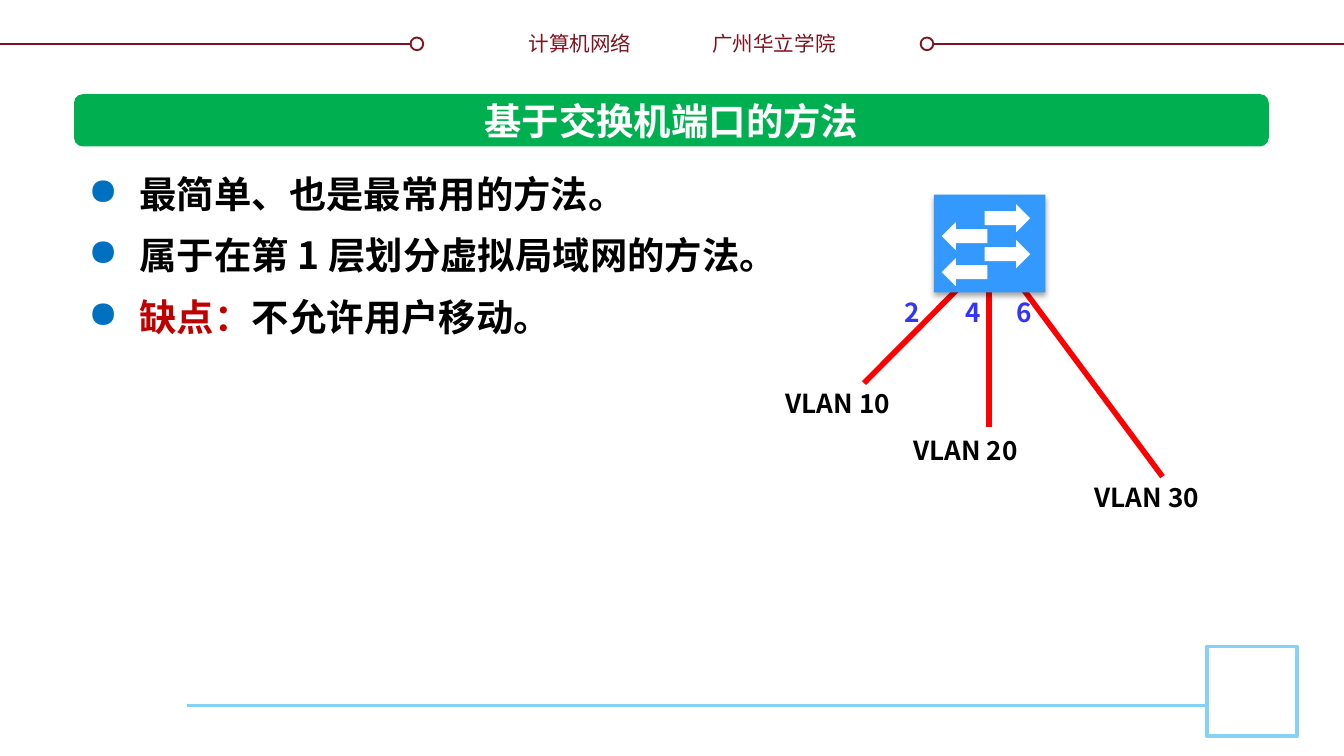
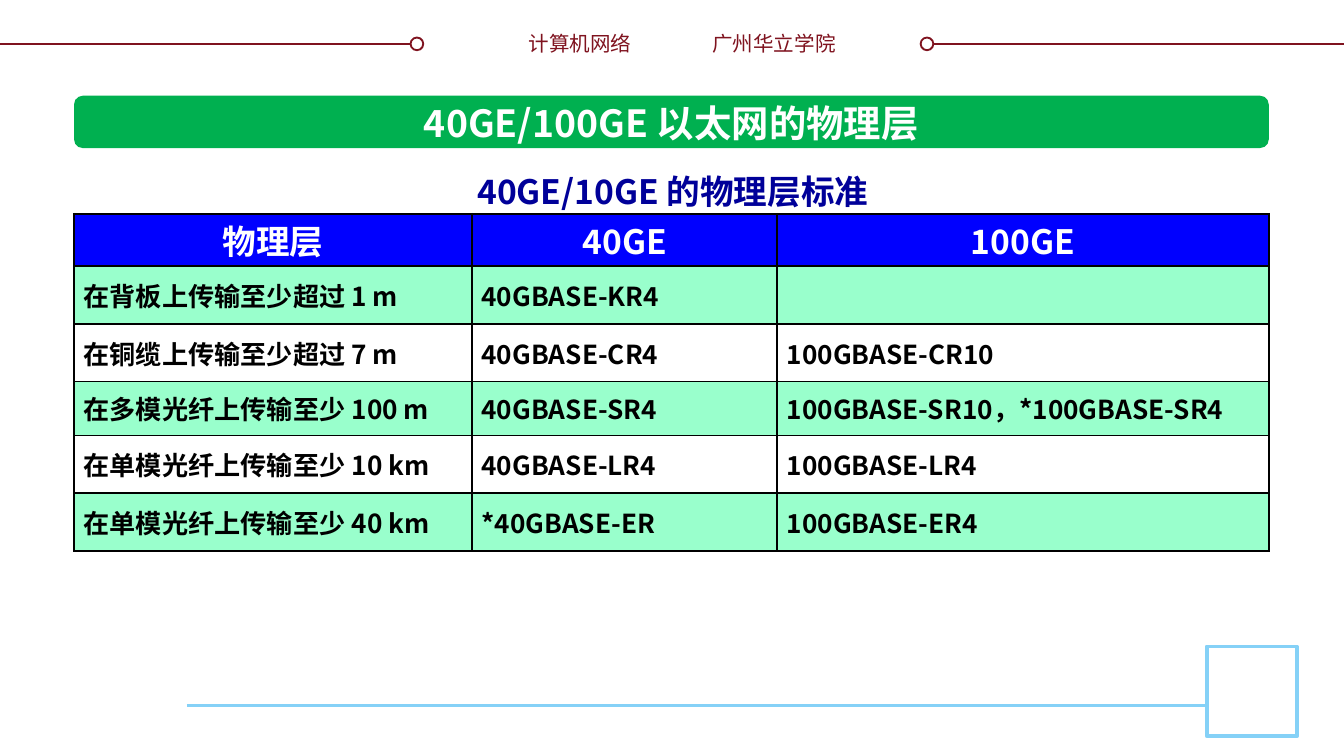
from lxml import etree
from pptx import Presentation
from pptx.dml.color import RGBColor
from pptx.enum.shapes import MSO_CONNECTOR, MSO_SHAPE
from pptx.enum.text import MSO_ANCHOR, PP_ALIGN
from pptx.oxml.ns import qn
from pptx.util import Cm, Pt

RECT, ROUND, OVAL = MSO_SHAPE.RECTANGLE, MSO_SHAPE.ROUNDED_RECTANGLE, MSO_SHAPE.OVAL
EAST, WEST = MSO_SHAPE.RIGHT_ARROW, MSO_SHAPE.LEFT_ARROW
STRAIGHT, MIDDLE = MSO_CONNECTOR.STRAIGHT, MSO_ANCHOR.MIDDLE
LEFT, MID, RIGHT, FULL = (PP_ALIGN.LEFT, PP_ALIGN.CENTER,
                          PP_ALIGN.RIGHT, PP_ALIGN.JUSTIFY)

FONT = "Noto Sans CJK SC"
WHITE = RGBColor(0xFF, 0xFF, 0xFF)
BLACK = RGBColor(0x00, 0x00, 0x00)
WINE = RGBColor(0x7F, 0x13, 0x1F)
SKY = RGBColor(0x85, 0xD1, 0xF7)
GREEN = RGBColor(0x00, 0xB0, 0x50)
MINT = RGBColor(0x99, 0xFF, 0xCC)
DOT = RGBColor(0x00, 0x70, 0xC0)
ALERT = RGBColor(0xC0, 0x00, 0x00)
RED = RGBColor(0xFF, 0x00, 0x00)
AZURE = RGBColor(0x33, 0x99, 0xFF)
PORT = RGBColor(0x33, 0x33, 0xFF)
NAVY = RGBColor(0x00, 0x00, 0x99)
BLUE = RGBColor(0x00, 0x00, 0xFF)

WIDE, HIGH = 25.4, 14.29
BAND = (1.4, 1.78, 22.58, 0.99)
POINTS = [
    [("最简单、也是最常用的方法。", BLACK)],
    [("属于在第 1 层划分虚拟局域网的方法。", BLACK)],
    [("缺点：", ALERT), ("不允许用户移动。", BLACK)],
]
# Port name, its left; cable start and end; network name, its left
LINKS = [
    ("2", 2.24, (3.63, 1.65), (1.73, 3.56), "VLAN 10", 0),
    ("4", 3.4, (4.09, 1.65), (4.09, 4.39), "VLAN 20", 2.41),
    ("6", 4.37, (4.6, 1.6), (7.37, 5.33), "VLAN 30", 5.84),
]
COLS = [7.52, 5.77, 9.29]
ROWS = [0.99, 1.09, 1.09, 1.02, 1.09, 1.09]
MEDIA = [
    ("物理层", "40GE", "100GE"),
    ("在背板上传输至少超过 1 m", "40GBASE-KR4", ""),
    ("在铜缆上传输至少超过 7 m", "40GBASE-CR4", "100GBASE-CR10"),
    ("在多模光纤上传输至少 100 m", "40GBASE-SR4", "100GBASE-SR10，*100GBASE-SR4"),
    ("在单模光纤上传输至少 10 km", "40GBASE-LR4", "100GBASE-LR4"),
    ("在单模光纤上传输至少 40 km", "*40GBASE-ER", "100GBASE-ER4"),
]


def sub(node, tag, **attrs):
    return etree.SubElement(node, qn(tag), {k: str(v) for k, v in attrs.items()})


def style(run, size, color, bold=True):
    font = run.font
    font.size, font.bold, font.name = Pt(size), bold, FONT
    font.color.rgb = color
    sub(run._r.get_or_add_rPr(), "a:ea", typeface=FONT)


def write(frame, text, size, color, align=LEFT, bold=True):
    frame.text = text
    para = frame.paragraphs[0]
    para.alignment = align
    for run in para.runs:
        style(run, size, color, bold)


def label(shapes, box, text, size, color, align=LEFT, bold=True):
    frame = shapes.add_textbox(*map(Cm, box)).text_frame
    frame.word_wrap = False
    write(frame, text, size, color, align, bold)


def block(shapes, kind, box, fill, edge=None, width=1):
    shape = shapes.add_shape(kind, *map(Cm, box))
    shape.shadow.inherit = False
    shape.fill.solid()
    shape.fill.fore_color.rgb = fill
    if edge is None:
        shape.line.fill.background()
    else:
        shape.line.color.rgb = edge
        shape.line.width = Pt(width)
    return shape


def line(shapes, start, end, color, width):
    link = shapes.add_connector(STRAIGHT, *map(Cm, start + end))
    link.line.color.rgb = color
    link.line.width = Pt(width)
    sub(link._element.spPr, "a:effectLst")


def header(shapes, y):
    # A rule with a ring at its inner end, mirrored on each side
    reach, ring = 8, 0.24
    for outer, inner, left in ((0, reach, reach - ring),
                               (WIDE, WIDE - reach, WIDE - reach)):
        line(shapes, (outer, y), (inner, y), WINE, 1)
        block(shapes, OVAL, (left, y - ring / 2, ring, ring), WHITE, WINE)
    top = y - 0.37
    label(shapes, (9.73, top, 2.46, 0.74), "计算机网络", 11, WINE, RIGHT, False)
    label(shapes, (13.21, top, 2.95, 0.74), "广州华立学院", 11, WINE, LEFT, False)


def footer(shapes, box):
    x, y, w, h = box
    side = 1.7
    left = x + w - side
    line(shapes, (x, y + 1.12), (left, y + 1.12), SKY, 1.5)
    block(shapes, RECT, (left, y, side, h), WHITE, SKY, 2)


def banner(shapes, box, text, width):
    x, y, w, h = box
    block(shapes, ROUND, box, GREEN)
    label(shapes, (x + (w - width) / 2, y - 0.05, width, 1.12),
          text, 20, WHITE, MID)


def bullets(shapes, box, points):
    frame = shapes.add_textbox(*map(Cm, box)).text_frame
    frame.word_wrap = True
    for i, parts in enumerate(points):
        para = frame.add_paragraph() if i else frame.paragraphs[0]
        props = para._p.get_or_add_pPr()
        props.set("marL", str(Cm(0.97)))
        props.set("indent", str(-Cm(0.97)))
        sub(sub(props, "a:buClr"), "a:srgbClr", val=DOT)
        sub(props, "a:buChar", char="●")
        para.line_spacing = Pt(33)
        for text, color in parts:
            run = para.add_run()
            run.text = text
            style(run, 20, color)


def switch(shapes, box):
    x, y, w, h = box
    body = block(shapes, RECT, box, AZURE)
    glow = sub(body._element.spPr.find(qn("a:effectLst")), "a:outerShdw",
               blurRad=Pt(3.1), dist=Pt(1.8), dir=5400000, rotWithShape=0)
    sub(sub(glow, "a:srgbClr", val=BLACK), "a:alpha", val=35000)
    # Arrows alternate right and left down the face
    for i in range(4):
        kind, left = (WEST, 0.15) if i % 2 else (EAST, 0.96)
        block(shapes, kind, (x + left, y + 0.18 + 0.34 * i, 0.86, 0.53), WHITE)


def network(slide, x, y):
    shapes = slide.shapes.add_group_shape().shapes
    # Cables go under the switch
    for _, _, (ax, ay), (bx, by), _, _ in LINKS:
        line(shapes, (x + ax, y + ay), (x + bx, y + by), RED, 3)
    switch(shapes, (x + 3.05, y, 2.11, 1.85))
    for i, (port, near, _, _, name, far) in enumerate(LINKS):
        label(shapes, (x + near, y + 1.8, 0.81, 0.86), port, 14, PORT)
        label(shapes, (x + far, y + 3.51 + 0.89 * i, 2.72, 0.86), name, 14, BLACK)


def cell_look(cell, fill):
    cell.vertical_anchor = MIDDLE
    cell.margin_left = cell.margin_right = Cm(0.18)
    cell.margin_top = cell.margin_bottom = 0
    props = cell._tc.get_or_add_tcPr()
    for tag in ("a:lnL", "a:lnR", "a:lnT", "a:lnB"):
        edge = sub(props, tag, w=Pt(1))
        sub(sub(edge, "a:solidFill"), "a:srgbClr", val=BLACK)
    if fill is None:
        cell.fill.background()
    else:
        cell.fill.solid()
        cell.fill.fore_color.rgb = fill


def grid(shapes, x, y):
    box = (x, y, sum(COLS), sum(ROWS))
    table = shapes.add_table(len(ROWS), len(COLS), *map(Cm, box)).table
    for col, width in zip(table.columns, COLS):
        col.width = Cm(width)
    for r, (texts, height) in enumerate(zip(MEDIA, ROWS)):
        table.rows[r].height = Cm(height)
        fill = BLUE if r == 0 else MINT if r % 2 else None
        look = (14, BLACK, FULL) if r else (18, WHITE, MID)
        for c, text in enumerate(texts):
            cell = table.cell(r, c)
            cell_look(cell, fill)
            write(cell.text_frame, text, *look)


def page(deck):
    slide = deck.slides.add_slide(deck.slide_layouts[6])
    header(slide.shapes, 0.83)
    footer(slide.shapes, (3.53, 12.22, 20.98, 1.7))
    return slide


def ports(deck):
    slide = page(deck)
    banner(slide.shapes, BAND, "基于交换机端口的方法", 7.65)
    bullets(slide.shapes, (1.42, 2.79, 22.56, 3.78), POINTS)
    network(slide, 14.6, 3.68)


def layers(deck):
    shapes = page(deck).shapes
    x, y, w, h = BAND
    banner(shapes, (x, y + 0.03, w, h), "40GE/100GE 以太网的物理层", 10.16)
    label(shapes, (8.64, 3.1, 8.15, 1.02), "40GE/10GE 的物理层标准", 18, NAVY, MID)
    grid(shapes, x, 4.04)


def main():
    deck = Presentation()
    deck.slide_width, deck.slide_height = Cm(WIDE), Cm(HIGH)
    ports(deck)
    layers(deck)
    deck.save("out.pptx")


if __name__ == "__main__":
    main()
